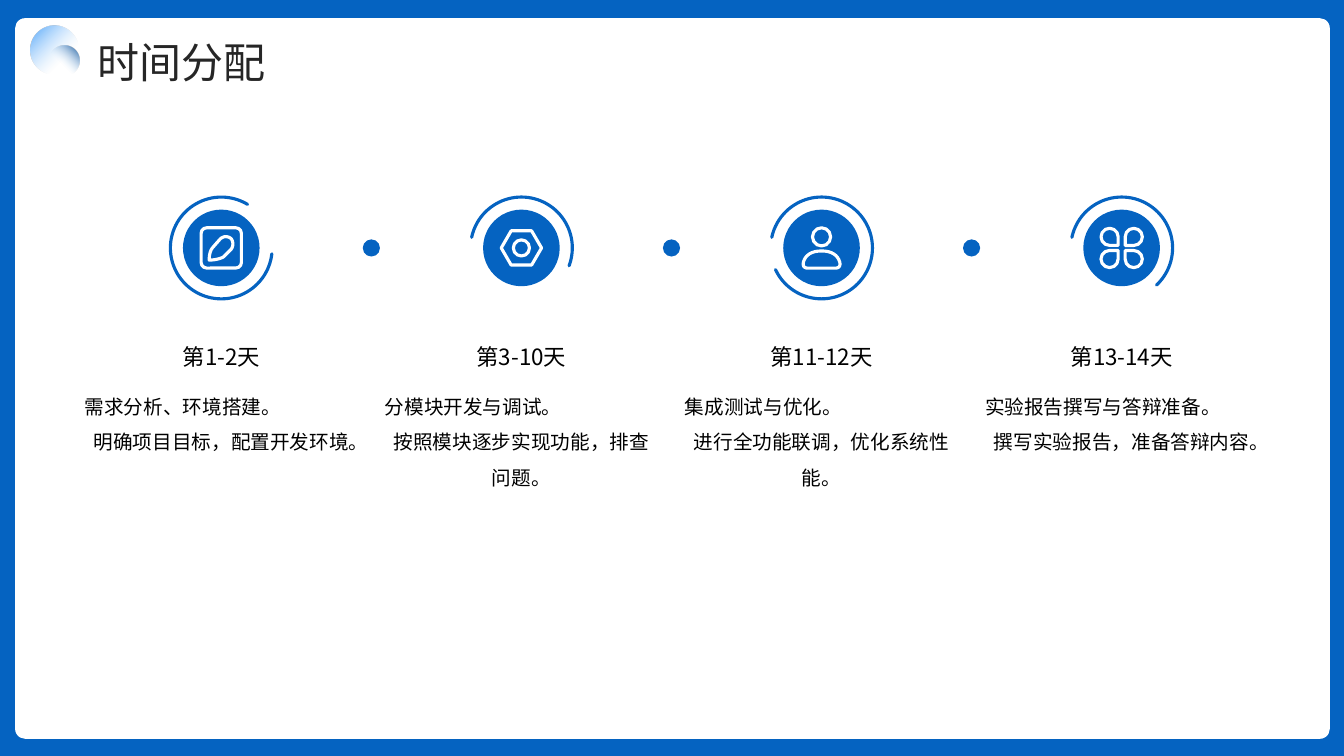
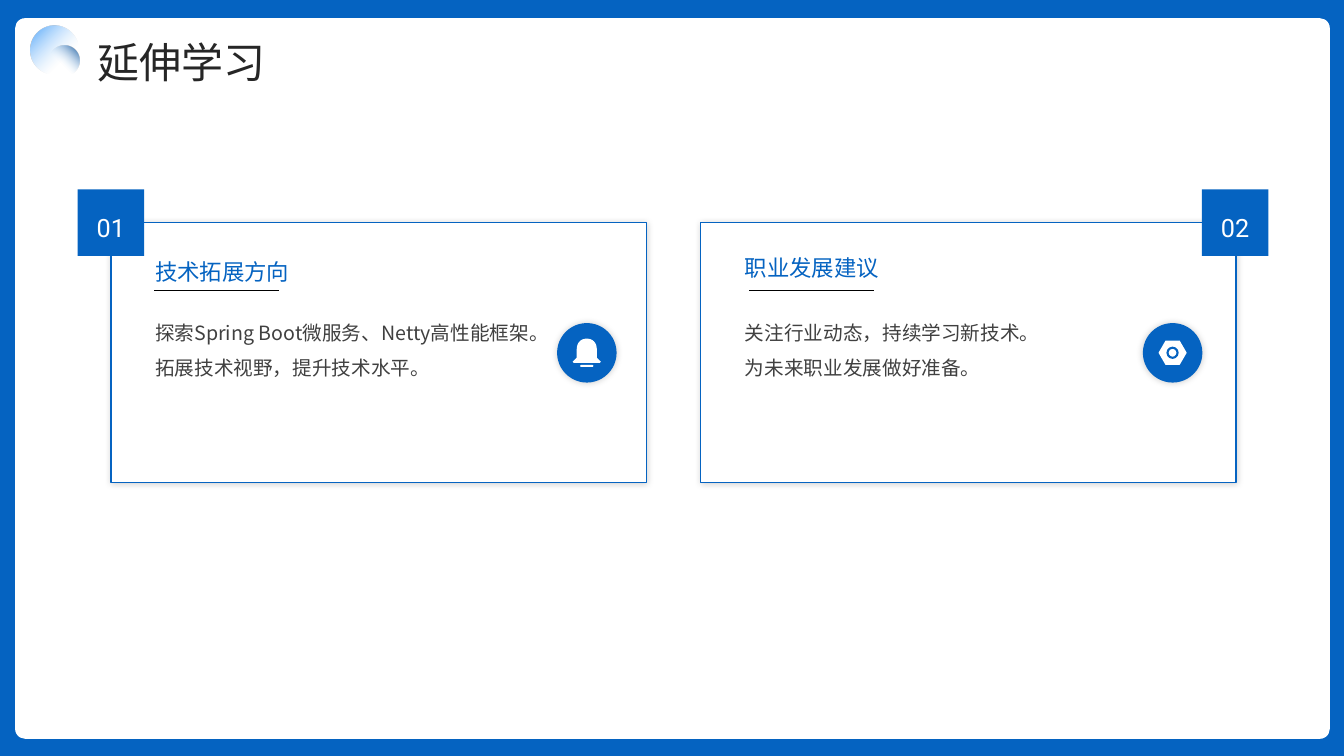
"""Builds two course slides: a time plan and further study."""
from lxml import etree
from pptx import Presentation
from pptx.dml.color import RGBColor
from pptx.enum.shapes import MSO_CONNECTOR, MSO_SHAPE as Preset
from pptx.enum.text import MSO_ANCHOR as Anchor, PP_ALIGN as Align
from pptx.oxml import parse_xml
from pptx.oxml.ns import nsdecls, qn
from pptx.util import Inches, Pt

WIDTH, HEIGHT = 13.33, 7.5
COLORS = {"blue": "0563C1", "white": "FFFFFF", "black": "000000", "title": "262626",
          "body": "404040", "pale": "C2E0FD", "sky": "49A1FA", "navy": "044A91"}
FONT, NUMBER_FONT = "Noto Sans CJK SC", "Roboto"

PHASES = [
    ("第1-2天", ["需求分析、环境搭建。", "明确项目目标，配置开发环境。"], "pencil", (3.94, 180.65)),
    ("第3-10天", ["分模块开发与调试。", "按照模块逐步实现功能，排查问题。"], "nut", (115.2, 12.31)),
    ("第11-12天", ["集成测试与优化。", "进行全功能联调，优化系统性能。"], "person", (115.2, 92.9)),
    ("第13-14天", ["实验报告撰写与答辩准备。", "撰写实验报告，准备答辩内容。"], "clover", (115.2, 28.08)),
]
CARDS = [
    {"number": "01", "heading": "技术拓展方向",
     "lines": ["探索Spring Boot微服务、Netty高性能框架。", "拓展技术视野，提升技术水平。"],
     "left": 1.1, "number_center": 1.1, "text_left": 1.44, "heading_bottom": 2.88,
     "rule_left": 1.53, "icon": "bell", "icon_center": 5.82},
    {"number": "02", "heading": "职业发展建议",
     "lines": ["关注行业动态，持续学习新技术。", "为未来职业发展做好准备。"],
     "left": 6.95, "number_center": 12.25, "text_left": 7.29, "heading_bottom": 2.84,
     "rule_left": 7.43, "icon": "solid nut", "icon_center": 11.63},
]

PENCIL = [(-.12, .12), (-.12, .07, -.11, .02, -.08, -.01), (-.01, -.09),
          (.02, -.12, .07, -.12, .1, -.09), (.12, -.06, .12, -.02, .1, .01), (.02, .09),
          (-.02, .11, -.07, .12, -.12, .12)]
SHOULDERS = [(0, .03), (.1, .03, .16, .07, .18, .14), (.19, .18, .17, .2, .14, .2), (-.14, .2),
             (-.17, .2, -.19, .18, -.18, .14), (-.16, .07, -.1, .03, 0, .03)]
BELL = [(0, -.14), (.06, -.14, .1, -.1, .1, -.03), (.1, .05), (.14, .09), (.13, .1),
        (-.13, .1), (-.14, .09), (-.1, .05), (-.1, -.03), (-.1, -.1, -.06, -.14, 0, -.14)]
ICONS = {
    "pencil": [{"preset": Preset.ROUNDED_RECTANGLE, "size": (.4, .4), "adjust": .14},
               {"outline": PENCIL}],
    "nut": [{"preset": Preset.HEXAGON, "size": (.4, .34), "adjust": .29},
            {"preset": Preset.OVAL, "size": (.16, .16)}],
    "person": [{"preset": Preset.OVAL, "size": (.18, .18), "offset": (0, -.11)},
               {"outline": SHOULDERS}],
    "clover": [{"preset": Preset.TEAR, "size": (.17, .17), "offset": (x, y), "turn": turn}
               for x, y, turn in [(-.12, -.11, 90), (.12, -.11, 180),
                                  (-.12, .11, 0), (.12, .11, 270)]],
    "bell": [{"outline": BELL, "fill": "white"},
             {"preset": Preset.ROUNDED_RECTANGLE, "size": (.13, .02), "offset": (0, .13),
              "adjust": .5, "fill": "white"}],
    "solid nut": [{"preset": Preset.HEXAGON, "size": (.28, .24), "adjust": .29, "fill": "white"},
                  {"preset": Preset.OVAL, "size": (.1, .1), "weight": 1.5, "line": "blue"}],
}


def rgb(name):
    return RGBColor.from_string(COLORS[name])


def paint(shape, fill=None, line=None, weight=1):
    shape.shadow.inherit = False
    if fill:
        shape.fill.solid()
        shape.fill.fore_color.rgb = rgb(fill)
    else:
        shape.fill.background()
    if line:
        shape.line.color.rgb = rgb(line)
        shape.line.width = Pt(weight)
    else:
        shape.line.fill.background()
    return shape


def add_preset(slide, preset, left, top, width, height, **style):
    box = [Inches(value) for value in (left, top, width, height)]
    return paint(slide.shapes.add_shape(preset, *box), **style)


def add_centered(slide, preset, center, size, **style):
    left, top = (middle - side / 2 for middle, side in zip(center, size))
    return add_preset(slide, preset, left, top, *size, **style)


def add_glow(shape):
    effects = shape._element.spPr.find(qn("a:effectLst"))
    effects.append(parse_xml(
        f'<a:outerShdw {nsdecls("a")} blurRad="{Pt(5)}" dist="0" dir="0">'
        f'<a:srgbClr val="{COLORS["black"]}"><a:alpha val="20000"/></a:srgbClr></a:outerShdw>'))


def add_fade(shape, start, color, focus):
    properties = shape._element.spPr
    edges = " ".join(f'{side}="{share * 1000}"' for side, share in zip("ltrb", focus))
    gradient = parse_xml(
        f'<a:gradFill {nsdecls("a")} rotWithShape="1"><a:gsLst>'
        f'<a:gs pos="{start * 1000}"><a:srgbClr val="{COLORS["pale"]}"><a:alpha val="0"/>'
        f'</a:srgbClr></a:gs><a:gs pos="100000"><a:srgbClr val="{COLORS[color]}"/></a:gs>'
        f'</a:gsLst><a:path path="circle"><a:fillToRect {edges}/></a:path></a:gradFill>')
    properties.replace(properties.find(qn("a:noFill")), gradient)


def format_paragraph(paragraph, size, color, spacing, align, font=FONT):
    paragraph.alignment = align
    paragraph.line_spacing = spacing
    for run in paragraph.runs:
        run.font.size = Pt(size)
        run.font.name = font
        run.font.color.rgb = rgb(color)
        east_asian = etree.SubElement(run._r.get_or_add_rPr(), qn("a:ea"))
        east_asian.set("typeface", font)


def add_text(slide, lines, left, top, width, height, size, color, spacings=(1.3,),
             aligns=(Align.LEFT, Align.LEFT), anchor=Anchor.TOP, inset=(0, 0)):
    box = slide.shapes.add_textbox(*[Inches(value) for value in (left, top, width, height)])
    frame = box.text_frame
    frame.word_wrap = True
    frame.vertical_anchor = anchor
    frame.margin_left = frame.margin_right = Inches(inset[0])
    frame.margin_top = frame.margin_bottom = Inches(inset[1])
    frame.text = "\n".join(lines)
    for paragraph, spacing, align in zip(frame.paragraphs, spacings, aligns):
        format_paragraph(paragraph, size, color, spacing, align)


def trace(outline, steps=8):
    points = [outline[0]]
    for segment in outline[1:]:
        if len(segment) == 2:
            points.append(segment)
            continue
        controls = [points[-1], segment[:2], segment[2:4], segment[4:]]
        for step in range(1, steps + 1):
            t = step / steps
            weights = ((1 - t) ** 3, 3 * t * (1 - t) ** 2, 3 * t * t * (1 - t), t ** 3)
            points.append(tuple(sum(weight * point[axis] for weight, point in zip(weights, controls))
                                for axis in (0, 1)))
    return points


def add_icon(slide, name, center):
    for part in ICONS[name]:
        style = {"fill": part.get("fill"), "weight": part.get("weight", 2.25),
                 "line": None if "fill" in part else part.get("line", "white")}
        if "outline" in part:
            points = [(Inches(center[0] + x), Inches(center[1] + y))
                      for x, y in trace(part["outline"])]
            builder = slide.shapes.build_freeform(*points[0])
            builder.add_line_segments(points[1:], close=True)
            paint(builder.convert_to_shape(), **style)
            continue
        offset = part.get("offset", (0, 0))
        middle = [base + shift for base, shift in zip(center, offset)]
        shape = add_centered(slide, part["preset"], middle, part["size"], **style)
        shape.rotation = part.get("turn", 0)
        if "adjust" in part:
            shape.adjustments[0] = part["adjust"]


def add_framed_slide(presentation, title):
    slide = presentation.slides.add_slide(presentation.slide_layouts[6])
    add_preset(slide, Preset.RECTANGLE, 0, 0, WIDTH, HEIGHT, fill="blue")
    panel = add_preset(slide, Preset.ROUNDED_RECTANGLE, .15, .18, 13.04, 7.15, fill="white")
    panel.adjustments[0] = .014
    add_text(slide, [title], .97, .21, 11.42, .6, 30, "title")
    add_fade(add_preset(slide, Preset.OVAL, .3, .26, .48, .48), 31, "sky", (100, 100, 0, 0))
    add_fade(add_preset(slide, Preset.OVAL, .49, .45, .3, .3), 40, "navy", (0, 100, 100, 0))
    return slide


def build_time_plan(presentation):
    slide = add_framed_slide(presentation, "时间分配")
    first, last, column = .84, 9.77, 2.71
    pitch = (last - first) / (len(PHASES) - 1)
    middle = 2.46
    for index, (days, lines, icon, angles) in enumerate(PHASES):
        left = first + index * pitch
        center = (left + column / 2, middle)
        arc = add_centered(slide, Preset.ARC, center, (1.01, 1.01), line="blue", weight=2.25)
        arc.adjustments[0], arc.adjustments[1] = angles
        arc._element.spPr.find(qn("a:ln")).set("cap", "rnd")
        add_centered(slide, Preset.OVAL, center, (.76, .76), fill="blue")
        add_icon(slide, icon, center)
        if index:
            add_centered(slide, Preset.OVAL, (center[0] - pitch / 2, middle), (.17, .17), fill="blue")
        add_text(slide, [days], left, 3.15, column, .7, 16, "black",
                 aligns=(Align.CENTER,), anchor=Anchor.MIDDLE)
        add_text(slide, lines, left, 3.92, column, 2.07, 14, "black",
                 spacings=(1.0, 1.5), aligns=(Align.LEFT, Align.CENTER))


def build_further_study(presentation):
    slide = add_framed_slide(presentation, "延伸学习")
    top, inset = 2.21, (.1, .05)
    for card in CARDS:
        add_glow(add_preset(slide, Preset.RECTANGLE, card["left"], top, 5.31, 2.58,
                            fill="white", line="blue"))
        badge = add_centered(slide, Preset.RECTANGLE, (card["number_center"], top), (.66, .66),
                             fill="blue")
        badge.text_frame.text = card["number"]
        badge.text_frame.vertical_anchor = Anchor.MIDDLE
        format_paragraph(badge.text_frame.paragraphs[0], 18, "white", 1.3, Align.CENTER, NUMBER_FONT)
        add_text(slide, [card["heading"]], card["text_left"], card["heading_bottom"] - .45,
                 3.91, .45, 16, "blue", anchor=Anchor.BOTTOM, inset=inset)
        add_text(slide, card["lines"], card["text_left"], 3.13, 3.91, 1.35, 14, "body",
                 spacings=(1.0, 1.5), inset=inset)
        start, rule_top = Inches(card["rule_left"]), Inches(2.88)
        rule = slide.shapes.add_connector(MSO_CONNECTOR.STRAIGHT, start, rule_top,
                                          start + Inches(1.24), rule_top)
        rule.line.color.rgb = rgb("black")
        rule.line.width = Pt(.5)
        etree.SubElement(rule._element.spPr, qn("a:effectLst"))
        center = (card["icon_center"], 3.5)
        add_glow(add_centered(slide, Preset.OVAL, center, (.59, .59), fill="blue"))
        add_icon(slide, card["icon"], center)


def main():
    presentation = Presentation()
    presentation.slide_width, presentation.slide_height = Inches(WIDTH), Inches(HEIGHT)
    build_time_plan(presentation)
    build_further_study(presentation)
    presentation.save("out.pptx")


if __name__ == "__main__":
    main()
